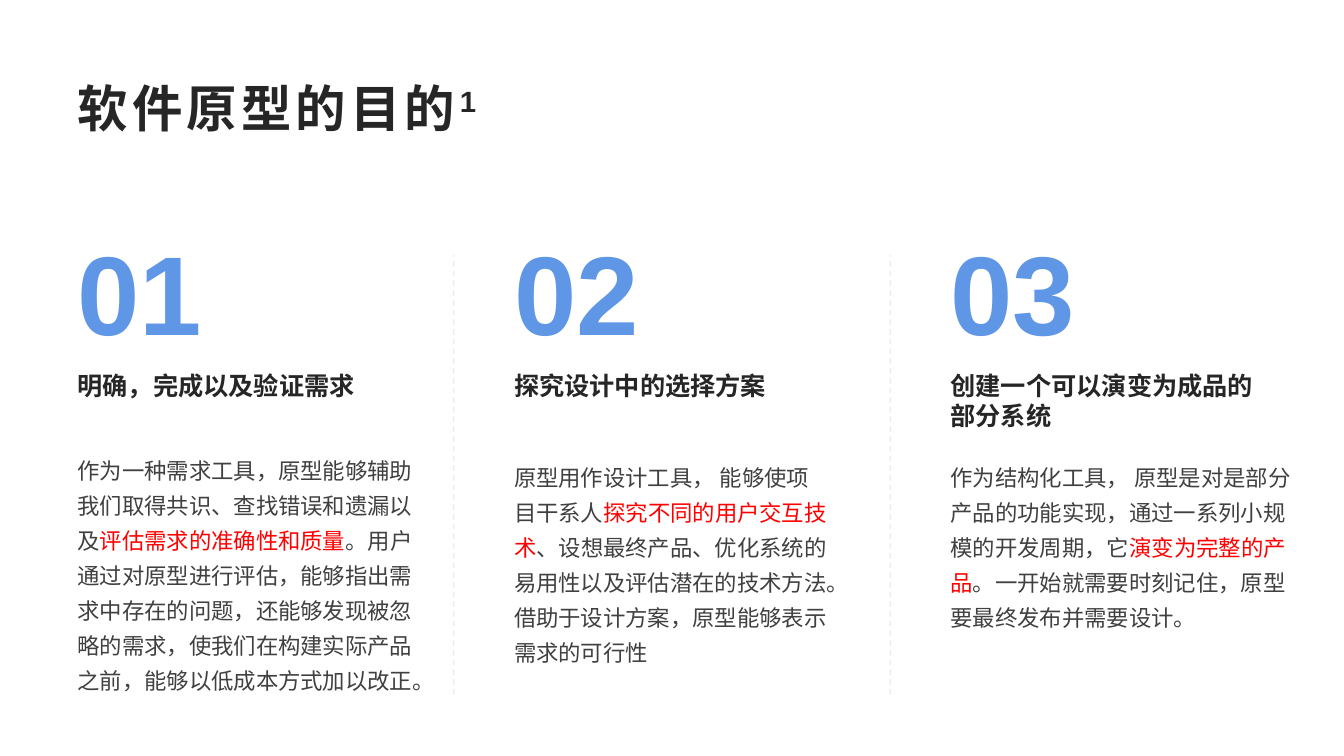
from lxml import etree
from pptx import Presentation
from pptx.dml.color import RGBColor
from pptx.enum.dml import MSO_LINE
from pptx.enum.lang import MSO_LANGUAGE_ID
from pptx.enum.shapes import MSO_CONNECTOR
from pptx.enum.text import MSO_ANCHOR, MSO_AUTO_SIZE, PP_ALIGN
from pptx.oxml.ns import qn
from pptx.util import Inches, Pt

DASH = MSO_LINE.DASH
STRAIGHT = MSO_CONNECTOR.STRAIGHT
CHINESE = MSO_LANGUAGE_ID.SIMPLIFIED_CHINESE
TOP, MIDDLE = MSO_ANCHOR.TOP, MSO_ANCHOR.MIDDLE
NO_FIT = MSO_AUTO_SIZE.NONE
LEFT = PP_ALIGN.LEFT

FONT = "Arial"
BLUE, DARK, GRAY, RED, RULE = "6096E6", "262626", "404040", "FF0000", "D9D9D9"

TITLE, TITLE_NOTE = "软件原型的目的", "1"

# number, heading, heading height, body (top, width, height),
# body text as (before, highlighted, after)
PURPOSES = [
    ("01", "明确，完成以及验证需求", 0.44, (4.41, 3.57, 2.7),
     ("作为一种需求工具，原型能够辅助我们取得共识、查找错误和遗漏以及",
      "评估需求的准确性和质量",
      "。用户通过对原型进行评估，能够指出需求中存在的问题，还能够发现被忽略的需求，"
      "使我们在构建实际产品之前，能够以低成本方式加以改正。")),
    ("02", "探究设计中的选择方案", 0.44, (4.48, 3.33, 2.47),
     ("原型用作设计工具， 能够使项目干系人",
      "探究不同的用户交互技术",
      "、设想最终产品、优化系统的易用性以及评估潜在的技术方法。"
      "借助于设计方案，原型能够表示需求的可行性")),
    ("03", "创建一个可以演变为成品的部分系统", 0.77, (4.48, 3.62, 2.41),
     ("作为结构化工具， 原型是对是部分产品的功能实现，通过一系列小规模的开发周期，它",
      "演变为完整的产品",
      "。一开始就需要时刻记住，原型要最终发布并需要设计。")),
]

MARGIN, COLUMN_STEP, COLUMN_WIDTH = 0.67, 4.33, 3.33
NUMBER_TOP, NUMBER_HEIGHT, HEADING_TOP = 2.17, 1.45, 3.62
RULE_TOP, RULE_BOTTOM, RULE_GAP = 2.53, 6.89, 0.5


def rgb(color):
    return RGBColor.from_string(color)


def add_run(p, text, size, color, bold=False, spacing=0, baseline=0):
    """Spacing is in points; baseline is a percentage."""
    r = p.add_run()
    r.text = text
    r.font.name = FONT
    r.font.size = Pt(size)
    r.font.bold = bold
    r.font.color.rgb = rgb(color)
    r.font.language_id = CHINESE
    rPr = r.font._element
    if spacing:
        rPr.set("spc", str(spacing * 100))
    if baseline:
        rPr.set("baseline", str(baseline * 1000))


def set_frame(sp, anchor):
    tf = sp.text_frame
    tf.word_wrap = True
    tf.auto_size = NO_FIT
    tf.vertical_anchor = anchor
    p = tf.paragraphs[0]
    p.alignment = LEFT
    return p


def add_text(s, left, top, width, height, runs, size, bold=False, line_spacing=None):
    """Runs are (text, color) pairs."""
    sp = s.shapes.add_textbox(Inches(left), Inches(top), Inches(width), Inches(height))
    p = set_frame(sp, TOP)
    p.line_spacing = line_spacing
    for text, color in runs:
        add_run(p, text, size, color, bold)


def add_rule(s, x):
    line = s.shapes.add_connector(STRAIGHT, Inches(x), Inches(RULE_BOTTOM),
                                  Inches(x), Inches(RULE_TOP))
    line.line.color.rgb = rgb(RULE)
    line.line.width = Pt(1)
    line.line.dash_style = DASH
    spPr = line._element.spPr
    color = spPr.find(".//" + qn("a:srgbClr"))
    etree.SubElement(color, qn("a:alpha"), val="50000")
    etree.SubElement(spPr, qn("a:effectLst"))


def add_title(s):
    sp = s.shapes.title
    sp.left, sp.top = Inches(MARGIN), Inches(0.68)
    sp.width, sp.height = Inches(12), Inches(0.77)
    p = set_frame(sp, MIDDLE)
    add_run(p, TITLE, 36, DARK, bold=True, spacing=3)
    add_run(p, TITLE_NOTE, 36, DARK, bold=True, spacing=3, baseline=30)


def main():
    prs = Presentation()
    prs.slide_width, prs.slide_height = Inches(13.33), Inches(7.5)
    s = prs.slides.add_slide(prs.slide_layouts[5])
    add_title(s)
    for i, (number, heading, heading_height, body_box, body) in enumerate(PURPOSES):
        x = MARGIN + i * COLUMN_STEP
        body_top, body_width, body_height = body_box
        add_text(s, x, NUMBER_TOP, COLUMN_WIDTH, NUMBER_HEIGHT,
                 [(number, BLUE)], 80, bold=True)
        add_text(s, x, HEADING_TOP, COLUMN_WIDTH, heading_height,
                 [(heading, DARK)], 18, bold=True)
        add_text(s, x, body_top, body_width, body_height,
                 zip(body, (GRAY, RED, GRAY)), 16, line_spacing=1.3)
        if i:
            add_rule(s, x - RULE_GAP)
    prs.save("out.pptx")


if __name__ == "__main__":
    main()
